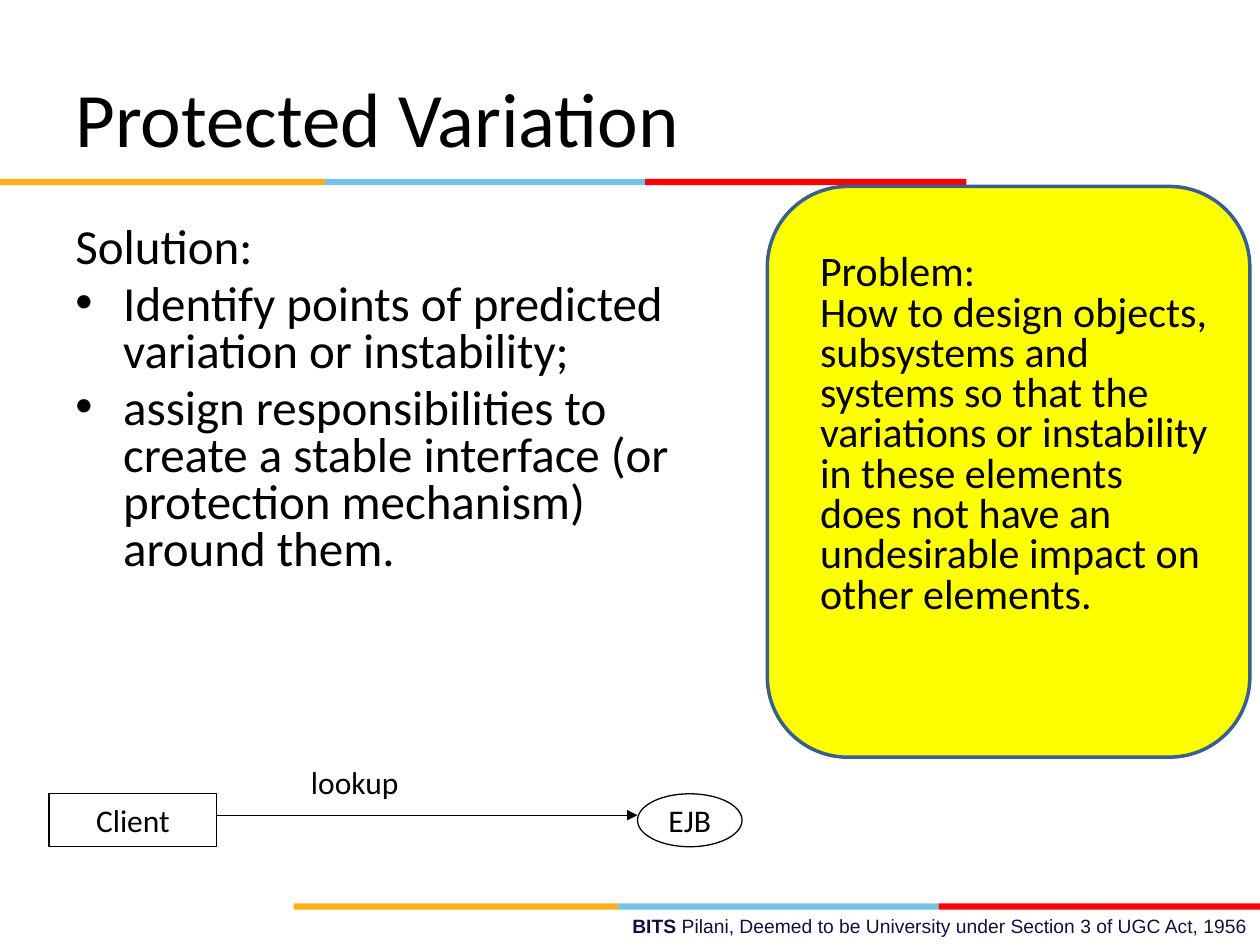
from lxml import etree
from pptx import Presentation
from pptx.dml.color import RGBColor
from pptx.enum.shapes import MSO_CONNECTOR, MSO_SHAPE
from pptx.enum.text import MSO_ANCHOR, PP_ALIGN
from pptx.oxml.ns import qn
from pptx.util import Inches, Pt

RECT, OVAL, ROUND = MSO_SHAPE.RECTANGLE, MSO_SHAPE.OVAL, MSO_SHAPE.ROUNDED_RECTANGLE
STRAIGHT = MSO_CONNECTOR.STRAIGHT
LEFT, CENTER, RIGHT = PP_ALIGN.LEFT, PP_ALIGN.CENTER, PP_ALIGN.RIGHT
TOP, MIDDLE = MSO_ANCHOR.TOP, MSO_ANCHOR.MIDDLE
BLACK = "000000"
STRIPES = [("FCB017", 2.58), ("76C2E5", 2.54), ("FF0000", 2.55)]


def rgb(value):
    """Turn a hex string into a colour."""
    return RGBColor.from_string(value)


def set_indent(p, indent, bullet):
    """Give a paragraph a hanging indent and an optional bullet."""
    pPr = p._p.get_or_add_pPr()
    pPr.set("marL", str(Inches(indent)))
    pPr.set("indent", str(-Inches(indent)))
    if bullet:
        etree.SubElement(pPr, qn("a:buFont")).set("typeface", "Arial")
        etree.SubElement(pPr, qn("a:buChar")).set("char", bullet)


def add_text(tf, text, size=18, font="Calibri", color=BLACK, bold=False, align=LEFT,
             spacing=None, before=None, indent=0, bullet=None):
    """Write one paragraph, using the empty first one if it is free."""
    p = tf.paragraphs[0]
    if p.runs:
        p = tf.add_paragraph()
    p.alignment = align
    if spacing:
        p.line_spacing = spacing
    if before:
        p.space_before = Pt(before)
    if indent:
        set_indent(p, indent, bullet)
    add_run(p, text, size, font, color, bold)
    return p


def add_run(p, text, size, font, color, bold=False):
    """Append a formatted run to a paragraph."""
    r = p.add_run()
    r.text = text
    r.font.size, r.font.name, r.font.bold = Pt(size), font, bold
    r.font.color.rgb = rgb(color)


def add_box(s, x, y, w, h, anchor=TOP, wrap=True):
    """Add a text box and return its text frame."""
    tf = s.shapes.add_textbox(Inches(x), Inches(y), Inches(w), Inches(h)).text_frame
    tf.word_wrap = wrap
    tf.vertical_anchor = anchor
    return tf


def add_shape(s, kind, x, y, w, h, fill=None, line=None, width=0.75):
    """Add a preset shape with optional fill and outline."""
    sp = s.shapes.add_shape(kind, Inches(x), Inches(y), Inches(w), Inches(h))
    sp.shadow.inherit = False
    if fill:
        sp.fill.solid()
        sp.fill.fore_color.rgb = rgb(fill)
    else:
        sp.fill.background()
    if line:
        sp.line.color.rgb = rgb(line)
        sp.line.width = Pt(width)
    else:
        sp.line.fill.background()
    return sp


def add_node(s, kind, x, w, label):
    """Add a labelled node of the lookup diagram."""
    tf = add_shape(s, kind, x, 6.3, w, 0.42, line=BLACK).text_frame
    tf.word_wrap = False
    tf.vertical_anchor = MIDDLE
    add_text(tf, label, align=CENTER)


def add_arrow(s, x1, x2, y):
    """Add a horizontal arrow pointing to x2."""
    c = s.shapes.add_connector(STRAIGHT, Inches(x1), Inches(y), Inches(x2), Inches(y))
    c.line.color.rgb = rgb(BLACK)
    c.line.width = Pt(0.75)
    etree.SubElement(c.line._get_or_add_ln(), qn("a:tailEnd")).set("type", "triangle")
    etree.SubElement(c._element.spPr, qn("a:effectLst"))


def add_stripes(s, x, y):
    """Add the three-colour band starting at x."""
    for color, w in STRIPES:
        add_shape(s, RECT, x, y, w, 0.05, fill=color)
        x += w


def main():
    """Build the slide and save it."""
    prs = Presentation()
    prs.slide_width, prs.slide_height = Inches(10), Inches(7.5)
    s = prs.slides.add_slide(prs.slide_layouts[6])

    p = add_text(add_box(s, 3.58, 7.21, 6.42, 0.29), "BITS ", size=11, font="Arial",
                 color="101141", bold=True, align=RIGHT)
    add_run(p, "Pilani, Deemed to be University under Section 3 of UGC Act, 1956",
            11, "Arial", "101141")
    add_stripes(s, 2.33, 7.17)
    add_stripes(s, 0, 1.42)

    add_text(add_box(s, 0.5, 0.3, 9, 1.25, MIDDLE), "Protected Variation", size=44)

    tf = add_box(s, 0.5, 1.75, 5.44, 4.95)
    add_text(tf, "Solution:", size=28, spacing=0.8, indent=0.38)
    for text in ("Identify points of predicted variation or instability;",
                 "assign responsibilities to create a stable interface "
                 "(or protection mechanism) around them."):
        add_text(tf, text, size=28, spacing=0.8, before=5.6, indent=0.38, bullet="•")

    add_node(s, OVAL, 5.06, 0.83, "EJB")
    add_node(s, RECT, 0.39, 1.33, "Client")
    add_arrow(s, 1.72, 5.06, 6.47)
    add_text(add_box(s, 2.37, 6.01, 0.94, 0.4, wrap=False), "lookup")

    add_shape(s, ROUND, 6.09, 1.48, 3.83, 4.53, fill="FFFF00", line="3A5F8C", width=2)
    tf = add_box(s, 6.41, 1.97, 3.28, 3.41)
    for text in ("Problem:",
                 "How to design objects, subsystems and systems so that the variations or "
                 "instability in these elements does not have an undesirable impact on "
                 "other elements."):
        add_text(tf, text, size=24, spacing=0.8)

    prs.save("out.pptx")


if __name__ == "__main__":
    main()
